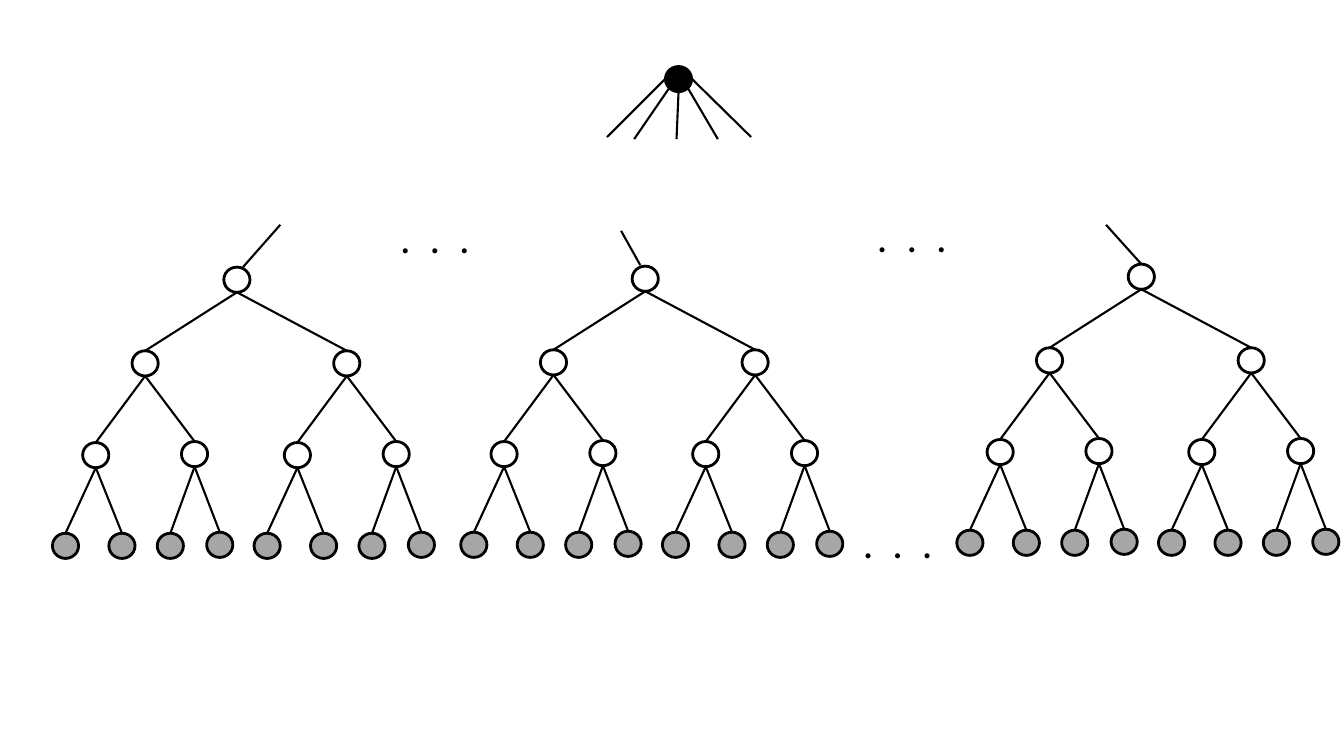
import pptx
import pptx.util
import pptx.dml.color
import pptx.enum.shapes
import pptx.enum.text
import pptx.oxml.ns
import lxml.etree

PX = 9144  # EMU, 100 px to the inch
NODE_WIDTH, NODE_HEIGHT = 26, 25
BLACK, GREY = "000000", "A6A6A6"

ROOT = (660, 66)
ROOT_STUBS = [  # from, to
    ((629, 138), (664, 87)),
    ((671, 138), (673, 91)),
    ((712, 138), (682, 87)),
    ((602, 136), (660, 78)),
    ((745, 136), (686, 78)),
]

# Each branch: offset from its parent, then its own branches
LEFT_LEAVES = [(-30, 90, []), (26, 90, [])]
RIGHT_LEAVES = [(-24, 91, []), (25, 90, [])]
LOWER_NODES = [(-49, 91, LEFT_LEAVES), (49, 90, RIGHT_LEAVES)]
BRANCHES = [(-91, 83, LOWER_NODES), (109, 83, LOWER_NODES)]

TREES = [  # top node, stub from, stub to
    ((222, 265), (241, 265), (278, 223)),
    ((627, 264), (635, 263), (616, 229)),
    ((1119, 262), (1132, 262), (1097, 223)),
]

DOTS = ".  .  ."
DOT_BOXES = [(860, 204, 140, 61), (846, 507, 107, 61), (387, 205, 140, 61)]


def px(*lengths):
    return [round(length * PX) for length in lengths]


def color(code):
    return pptx.dml.color.RGBColor.from_string(code)


def add_node(page, left, top, fill=None):
    node = page.shapes.add_shape(
        pptx.enum.shapes.MSO_SHAPE.OVAL, *px(left, top, NODE_WIDTH, NODE_HEIGHT))
    node.shadow.inherit = False
    if fill:
        node.fill.solid()
        node.fill.fore_color.rgb = color(fill)
    else:
        node.fill.background()
    node.line.color.rgb = color(BLACK)
    node.line.width = pptx.util.Pt(2)
    return node


def add_edge(page, start, end):
    edge = page.shapes.add_connector(
        pptx.enum.shapes.MSO_CONNECTOR.STRAIGHT, *px(*start, *end))
    edge.line.color.rgb = color(BLACK)
    edge.line.width = pptx.util.Pt(1.5)
    lxml.etree.SubElement(edge._element.spPr, pptx.oxml.ns.qn("a:effectLst"))
    return edge


def add_tree(page, left, top, branches):
    """Draw a node and, below it, all of its branches; return the node."""
    node = add_node(page, left, top, None if branches else GREY)
    middle = left + NODE_WIDTH / 2
    for dx, dy, lower in branches:
        child = add_tree(page, left + dx, top + dy, lower)
        edge = add_edge(page, (middle + dx, top + dy), (middle, top + NODE_HEIGHT))
        edge.begin_connect(child, 0)
    return node


def add_dots(page, area):
    box = page.shapes.add_textbox(*px(*area))
    frame = box.text_frame
    frame.word_wrap = True
    frame.auto_size = pptx.enum.text.MSO_AUTO_SIZE.SHAPE_TO_FIT_TEXT
    frame.text = DOTS
    font = frame.paragraphs[0].runs[0].font
    font.name = "Calibri"
    font.size = pptx.util.Pt(30)
    font.color.rgb = color(BLACK)


def main():
    deck = pptx.Presentation()
    deck.slide_width, deck.slide_height = px(1333, 750)
    page = deck.slides.add_slide(deck.slide_layouts[6])

    add_node(page, *ROOT, BLACK)
    for start, end in ROOT_STUBS:
        add_edge(page, start, end)
    for top_node, start, end in TREES:
        add_tree(page, *top_node, BRANCHES)
        add_edge(page, start, end)
    for area in DOT_BOXES:
        add_dots(page, area)

    deck.save("out.pptx")


if __name__ == "__main__":
    main()
